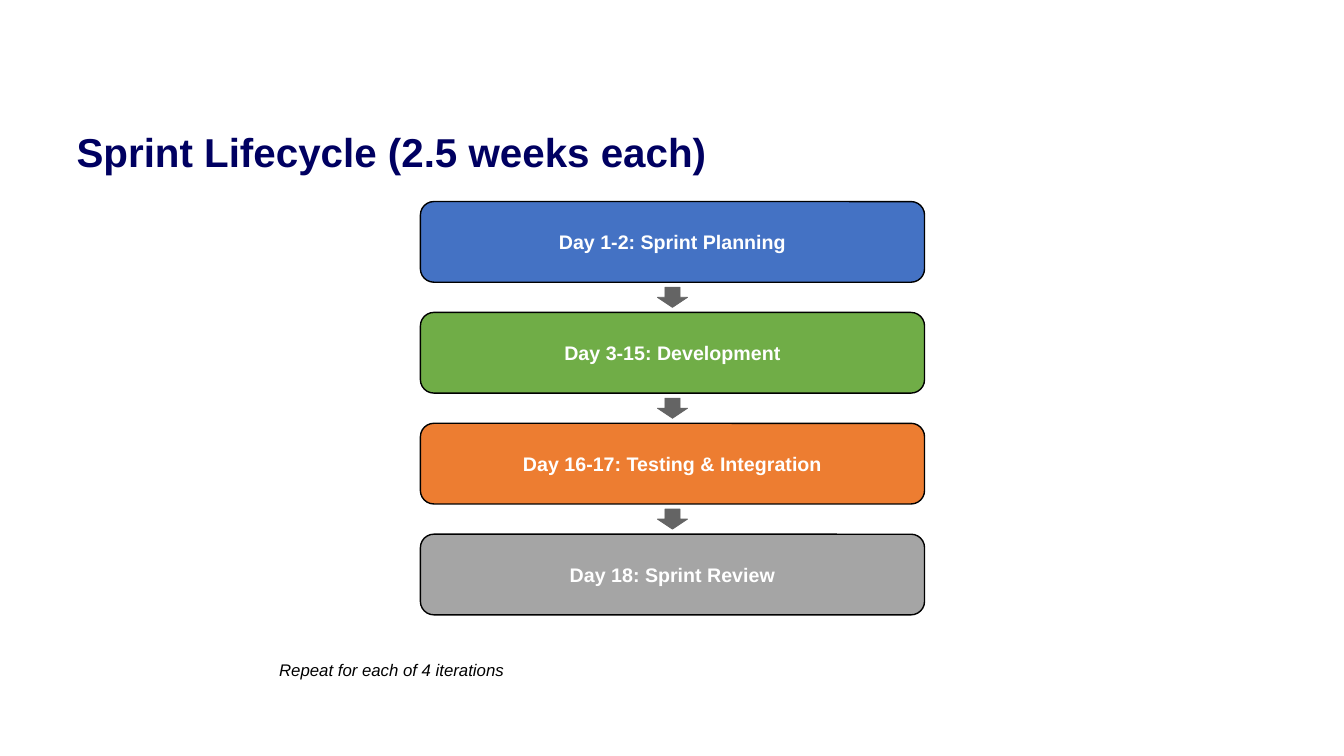
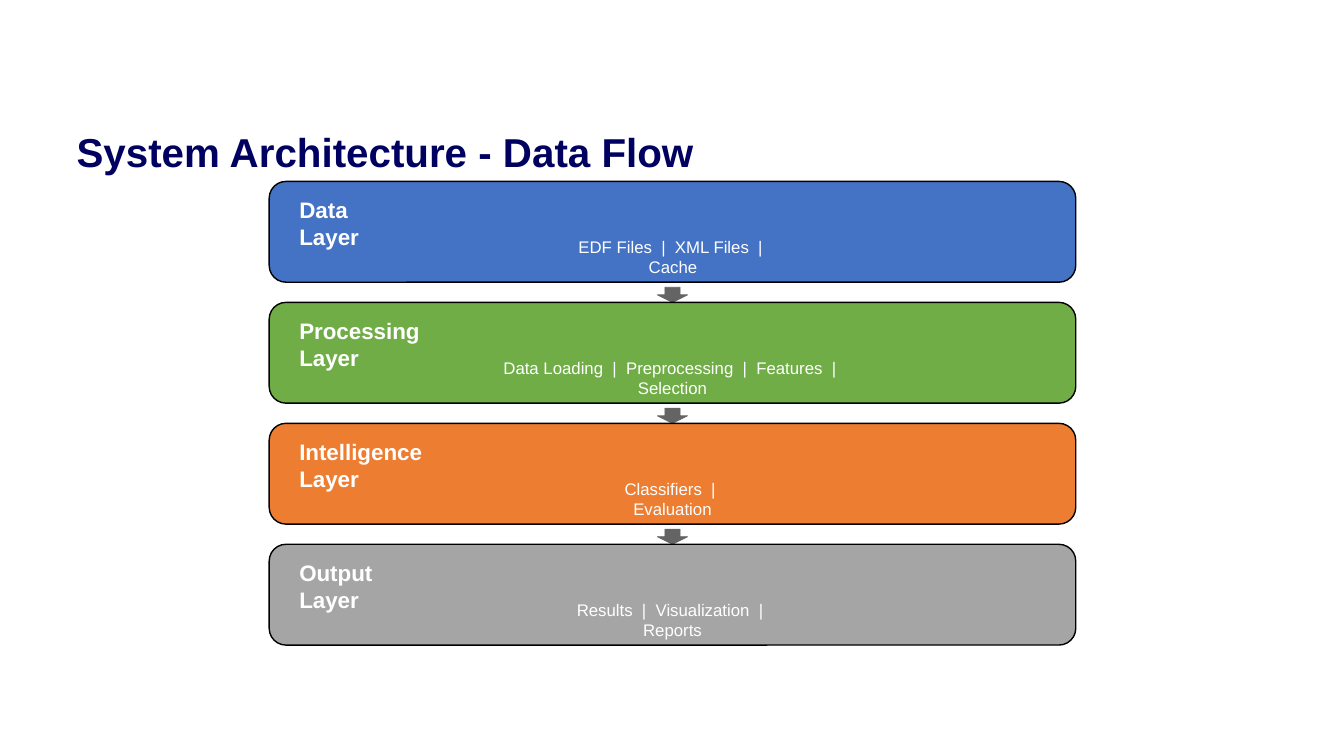
from pptx import Presentation
from pptx.dml.color import RGBColor
from pptx.enum.shapes import MSO_SHAPE as SHAPE
from pptx.enum.text import MSO_ANCHOR as ANCHOR, MSO_AUTO_SIZE as AUTO_SIZE, PP_ALIGN as ALIGN
from pptx.util import Pt

PX = 9144  # 100 px to the inch
WIDTH, HEIGHT = 1333, 750
CENTER = 667
GAP = 5  # between a box and the arrow below it
ARROW_W = 30
FONT = "Arial"
COLORS = {
    "title": "000061", "white": "FFFFFF", "black": "000000", "arrow": "646464",
    "blue": "4472C4", "green": "70AD47", "orange": "ED7D31", "gray": "A5A5A5",
}


def add_block(slide, kind, left, top, width, height, fill, line, line_pt):
    sp = slide.shapes.add_shape(kind, left * PX, top * PX, width * PX, height * PX)
    sp.shadow.inherit = False
    sp.fill.solid()
    sp.fill.fore_color.rgb = RGBColor.from_string(COLORS[fill])
    sp.line.color.rgb = RGBColor.from_string(COLORS[line])
    sp.line.width = Pt(line_pt)
    return sp


def write(sp, text, size, color, bold=False, italic=False, align=ALIGN.LEFT, anchor=ANCHOR.TOP):
    tf = sp.text_frame
    tf.word_wrap = True
    tf.vertical_anchor = anchor
    tf.text = text
    p = tf.paragraphs[0]
    p.alignment = align
    font = p.runs[0].font
    font.name, font.size, font.bold, font.italic = FONT, Pt(size), bold, italic
    font.color.rgb = RGBColor.from_string(COLORS[color])


prs = Presentation()
prs.slide_width, prs.slide_height = WIDTH * PX, HEIGHT * PX

slides = []
for title in ("Sprint Lifecycle (2.5 weeks each)", "System Architecture - Data Flow"):
    slide = prs.slides.add_slide(prs.slide_layouts[5])
    sp = slide.shapes.title
    sp.left, sp.top, sp.width, sp.height = 66 * PX, 120 * PX, 1202 * PX, 62 * PX
    write(sp, title, 28.8, "title", bold=True)
    tf = sp.text_frame
    tf.auto_size = AUTO_SIZE.NONE
    tf.margin_left = tf.margin_right = 10 * PX
    tf.margin_top, tf.margin_bottom = 12 * PX, 5 * PX
    tf.paragraphs[0].line_spacing = 0.9
    slides.append(slide)
sprint, architecture = slides

# Sprint lifecycle
phases = [
    ("Day 1-2: Sprint Planning", "blue"),
    ("Day 3-15: Development", "green"),
    ("Day 16-17: Testing & Integration", "orange"),
    ("Day 18: Sprint Review", "gray"),
]
PHASE_W, PHASE_H, PHASE_STEP = 500, 80, 110
for i, (phase, color) in enumerate(phases):
    top = 200 + i * PHASE_STEP
    if i:
        add_block(sprint, SHAPE.DOWN_ARROW, CENTER - ARROW_W // 2, top - GAP - 20,
                  ARROW_W, 20, "arrow", "arrow", 0.5)
    sp = add_block(sprint, SHAPE.ROUNDED_RECTANGLE, CENTER - PHASE_W // 2, top,
                   PHASE_W, PHASE_H, color, "black", 1)
    write(sp, phase, 14, "white", bold=True, align=ALIGN.CENTER, anchor=ANCHOR.MIDDLE)

note = sprint.shapes.add_textbox(267 * PX, 650 * PX, 255 * PX, 30 * PX)
write(note, "Repeat for each of 4 iterations", 12, "black", italic=True)

# System architecture: name, name width, parts, parts width, color
layers = [
    ("Data Layer", 131, ["EDF Files", "XML Files", "Cache"], 251, "blue"),
    ("Processing Layer", 196,
     ["Data Loading", "Preprocessing", "Features", "Selection"], 426, "green"),
    ("Intelligence Layer", 204, ["Classifiers", "Evaluation"], 196, "orange"),
    ("Output Layer", 157, ["Results", "Visualization", "Reports"], 272, "gray"),
]
LAYER_W, LAYER_H, LAYER_STEP = 800, 100, 120
left = CENTER - LAYER_W // 2
for i, (name, name_w, parts, parts_w, color) in enumerate(layers):
    top = 180 + i * LAYER_STEP
    if i:
        add_block(architecture, SHAPE.DOWN_ARROW, CENTER - ARROW_W // 2, top - 15,
                  ARROW_W, 15, "arrow", "arrow", 0.5)
    add_block(architecture, SHAPE.ROUNDED_RECTANGLE, left, top,
              LAYER_W, LAYER_H, color, "black", 1)
    label = architecture.shapes.add_textbox((left + 20) * PX, (top + 10) * PX,
                                            name_w * PX, 37 * PX)
    write(label, name, 16, "white", bold=True)
    detail = architecture.shapes.add_textbox((CENTER - parts_w // 2) * PX, (top + 50) * PX,
                                             parts_w * PX, 30 * PX)
    write(detail, "  |  ".join(parts), 12, "white", align=ALIGN.CENTER)

prs.save("out.pptx")
